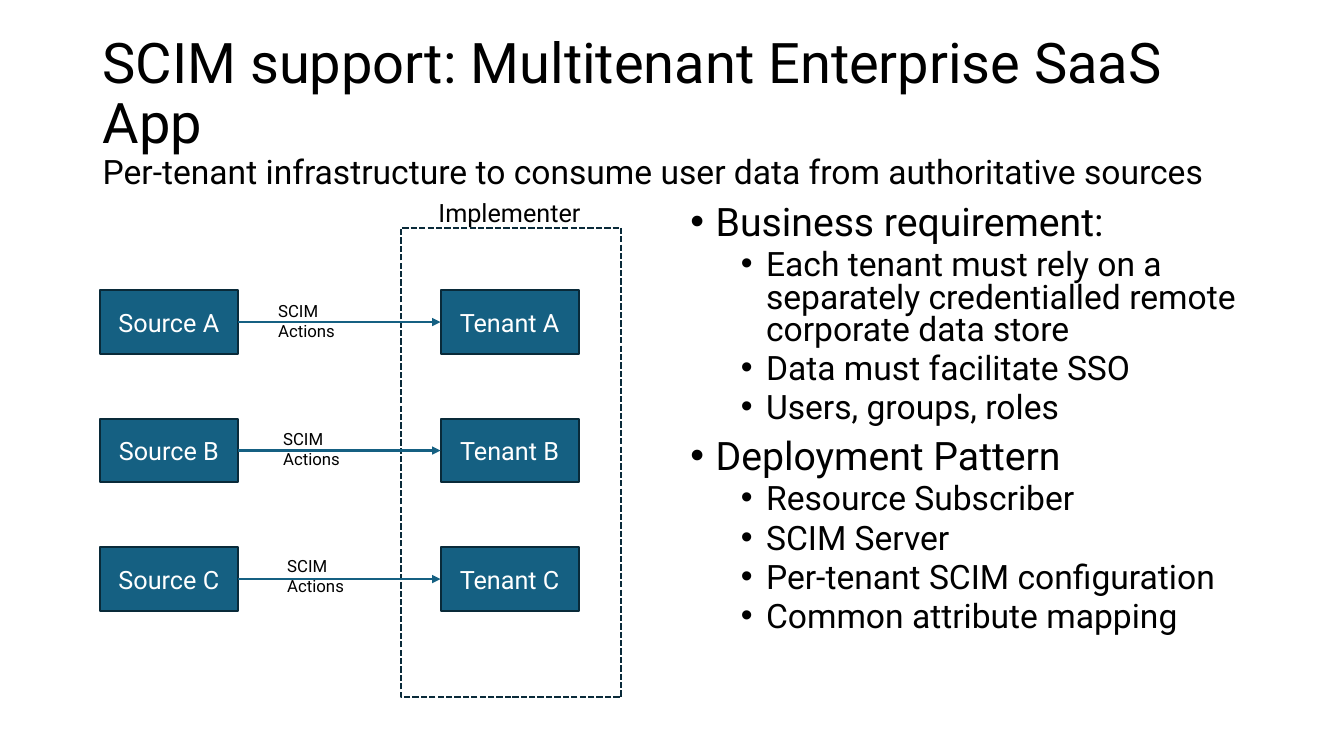
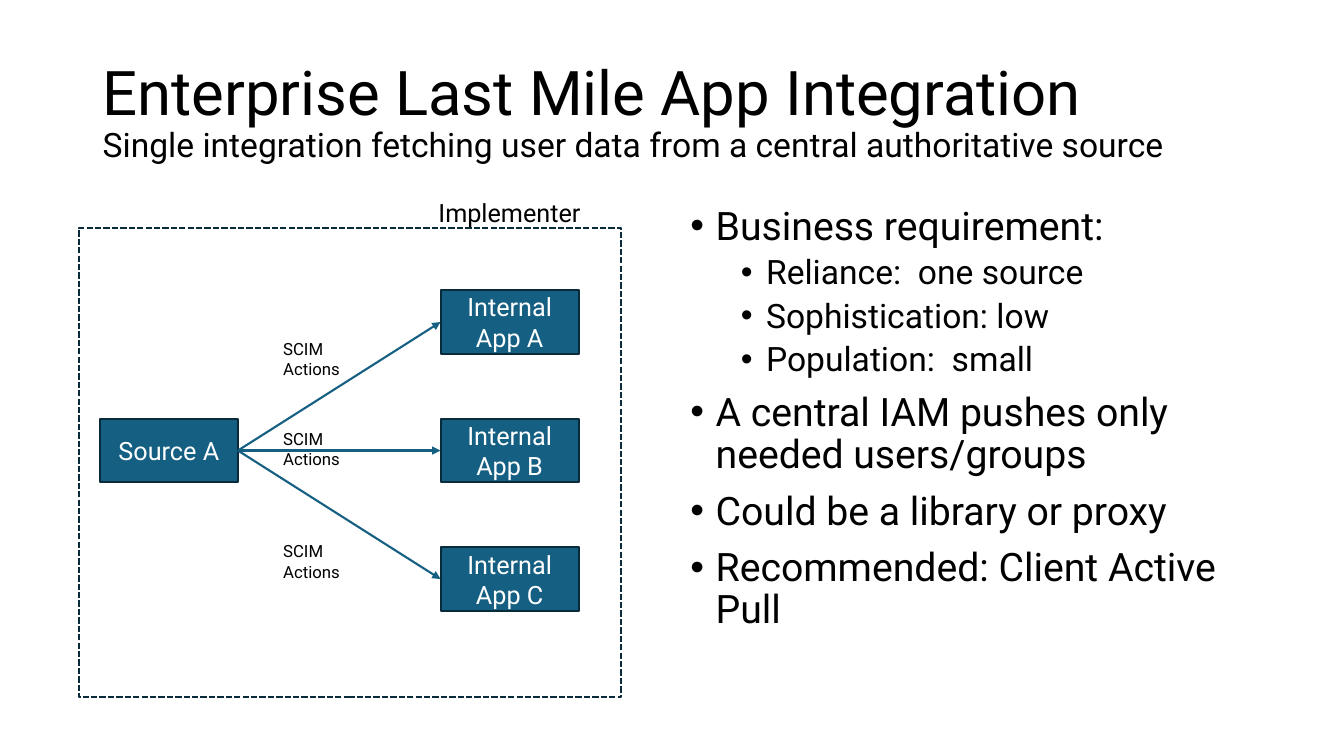
import lxml.etree
import pptx
import pptx.dml.color
import pptx.enum.dml
import pptx.enum.shapes
import pptx.enum.text
import pptx.oxml.ns
import pptx.util

Inches = pptx.util.Inches
Pt = pptx.util.Pt
qn = pptx.oxml.ns.qn

FONT = "Roboto"
BLACK = pptx.dml.color.RGBColor(0x00, 0x00, 0x00)
WHITE = pptx.dml.color.RGBColor(0xFF, 0xFF, 0xFF)
TEAL = pptx.dml.color.RGBColor(0x15, 0x60, 0x82)
NAVY = pptx.dml.color.RGBColor(0x09, 0x2A, 0x39)

SOURCE_LEFT, TARGET_LEFT = 0.99, 4.37
BOX_WIDTH, BOX_HEIGHT = 1.37, 0.63
FIRST_ROW, ROW_STEP = 2.88, 1.275
FRAME_TOP, FRAME_RIGHT, FRAME_HEIGHT = 2.26, 6.16, 4.66
LEVELS = [
    {"size": 28, "before": 10, "margin": 0.25},
    {"size": 24, "before": 5, "margin": 0.75},
]
BULLET_HANG = 0.25

SLIDES = [
    {
        "title": "SCIM support: Multitenant Enterprise SaaS App",
        "title_size": 40,
        "subtitle": "Per-tenant infrastructure to consume user data from authoritative sources",
        "line_spacing": 0.8,
        "bullets": [
            (0, "Business requirement:"),
            (1, "Each tenant must rely on a separately credentialled remote corporate data store"),
            (1, "Data must facilitate SSO"),
            (1, "Users, groups, roles"),
            (0, "Deployment Pattern"),
            (1, "Resource Subscriber"),
            (1, "SCIM Server"),
            (1, "Per-tenant SCIM configuration"),
            (1, "Common attribute mapping"),
        ],
        "sources": {0: "Source A", 1: "Source B", 2: "Source C"},
        "targets": ["Tenant A", "Tenant B", "Tenant C"],
        "flows": [(0, 0), (1, 1), (2, 2)],
        "action_spots": [(2.66, 2.93), (2.71, 4.2), (2.75, 5.46)],
        "frame_left": 3.98,
    },
    {
        "title": "Enterprise Last Mile App Integration",
        "title_size": 44,
        "subtitle": "Single integration fetching user data from a central authoritative source",
        "line_spacing": 0.9,
        "bullets": [
            (0, "Business requirement:"),
            (1, "Reliance:  one source"),
            (1, "Sophistication: low"),
            (1, "Population:  small"),
            (0, "A central IAM pushes only needed users/groups"),
            (0, "Could be a library or proxy"),
            (0, "Recommended: Client Active Pull"),
        ],
        "sources": {1: "Source A"},
        "targets": ["Internal App A", "Internal App B", "Internal App C"],
        "flows": [(1, 0), (1, 1), (1, 2)],
        "action_spots": [(2.71, 3.31), (2.71, 4.2), (2.71, 5.32)],
        "frame_left": 0.78,
    },
]


def style_run(run, size, color=BLACK):
    run.font.name = FONT
    run.font.size = Pt(size)
    run.font.color.rgb = color


def add_text(slide, left, top, width, height, wrap=True):
    box = slide.shapes.add_textbox(Inches(left), Inches(top), Inches(width), Inches(height))
    box.text_frame.word_wrap = wrap
    return box.text_frame


def add_label(slide, text, size, left, top, width, height, wrap=True):
    frame = add_text(slide, left, top, width, height, wrap)
    frame.text = text
    style_run(frame.paragraphs[0].runs[0], size)
    return frame


def add_title(slide, content):
    frame = add_text(slide, 0.92, 0.4, 11.5, 1.45)
    frame.vertical_anchor = pptx.enum.text.MSO_ANCHOR.MIDDLE
    paragraph = frame.paragraphs[0]
    paragraph.text = content["title"] + "\v" + content["subtitle"]
    paragraph.line_spacing = 0.9
    for run, size in zip(paragraph.runs, (content["title_size"], 24)):
        style_run(run, size)


def add_bullets(slide, bullets, line_spacing):
    frame = add_text(slide, 6.75, 2, 5.67, 4.76)
    for index, (level, text) in enumerate(bullets):
        paragraph = frame.add_paragraph() if index else frame.paragraphs[0]
        look = LEVELS[level]
        paragraph.text = text
        paragraph.level = level
        paragraph.line_spacing = line_spacing
        paragraph.space_before = Pt(look["before"])
        style_run(paragraph.runs[0], look["size"])
        properties = paragraph._p.get_or_add_pPr()
        properties.set("marL", str(Inches(look["margin"])))
        properties.set("indent", str(-Inches(BULLET_HANG)))
        lxml.etree.SubElement(properties, qn("a:buFont")).set("typeface", "Arial")
        lxml.etree.SubElement(properties, qn("a:buChar")).set("char", "•")


def add_rectangle(slide, left, top, width, height):
    rectangle = slide.shapes.add_shape(
        pptx.enum.shapes.MSO_SHAPE.RECTANGLE,
        Inches(left), Inches(top), Inches(width), Inches(height),
    )
    rectangle.shadow.inherit = False
    rectangle.line.color.rgb = NAVY
    rectangle.line.width = Pt(1.5)
    return rectangle


def add_system(slide, text, left, row):
    system = add_rectangle(slide, left, FIRST_ROW + row * ROW_STEP, BOX_WIDTH, BOX_HEIGHT)
    system.fill.solid()
    system.fill.fore_color.rgb = TEAL
    frame = system.text_frame
    frame.word_wrap = True
    frame.vertical_anchor = pptx.enum.text.MSO_ANCHOR.MIDDLE
    frame.text = text
    frame.paragraphs[0].alignment = pptx.enum.text.PP_ALIGN.CENTER
    style_run(frame.paragraphs[0].runs[0], 18, WHITE)
    return system


def add_frame(slide, left):
    frame = add_rectangle(slide, left, FRAME_TOP, FRAME_RIGHT - left, FRAME_HEIGHT)
    frame.fill.background()
    frame.line.dash_style = pptx.enum.dml.MSO_LINE.SQUARE_DOT
    add_label(slide, "Implementer", 18, 4.25, 1.91, 1.61, 0.4, wrap=False)


def add_flow(slide, source, target):
    flow = slide.shapes.add_connector(pptx.enum.shapes.MSO_CONNECTOR.STRAIGHT, 0, 0, 0, 0)
    flow.begin_connect(source, 3)
    flow.end_connect(target, 1)
    flow.line.color.rgb = TEAL
    flow.line.width = Pt(1.5)
    lxml.etree.SubElement(flow.line._get_or_add_ln(), qn("a:tailEnd")).set("type", "triangle")
    lxml.etree.SubElement(flow._element.spPr, qn("a:effectLst"))


def build_slide(presentation, content):
    slide = presentation.slides.add_slide(presentation.slide_layouts[6])
    add_title(slide, content)
    add_bullets(slide, content["bullets"], content["line_spacing"])
    targets = [add_system(slide, text, TARGET_LEFT, row)
               for row, text in enumerate(content["targets"])]
    add_frame(slide, content["frame_left"])
    sources = {row: add_system(slide, text, SOURCE_LEFT, row)
               for row, text in content["sources"].items()}
    for source, target in content["flows"]:
        add_flow(slide, sources[source], targets[target])
    for left, top in content["action_spots"]:
        action = add_label(slide, "SCIM Actions", 12, left, top, 1.17, 0.3)
        action.margin_right = Inches(0.3)


def main():
    presentation = pptx.Presentation()
    presentation.slide_width = Inches(13.33)
    presentation.slide_height = Inches(7.5)
    for content in SLIDES:
        build_slide(presentation, content)
    presentation.save("out.pptx")


if __name__ == "__main__":
    main()
